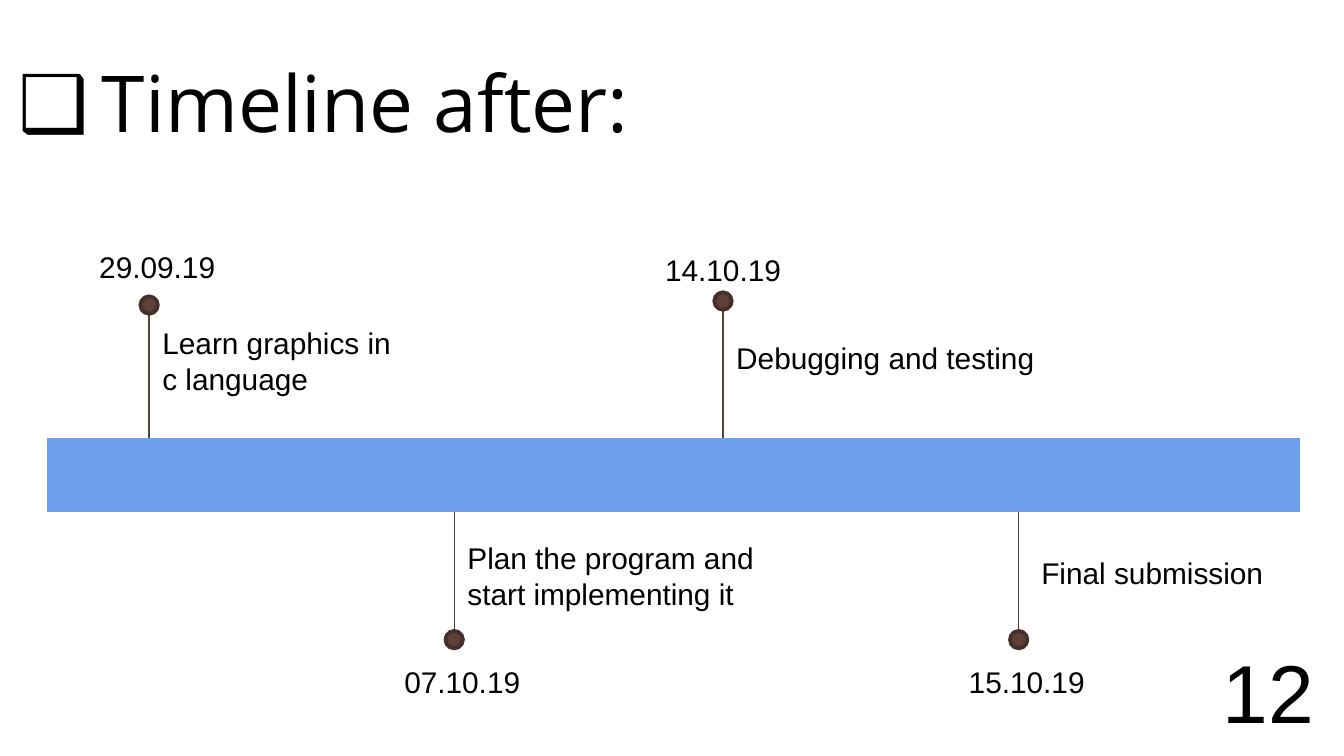
from lxml import etree
from pptx import Presentation
from pptx import util as u
from pptx.dml.color import RGBColor
from pptx.enum import shapes, text
from pptx.oxml.ns import qn


def color(value):
    return RGBColor.from_string(value)


def add_text(left, top, width, height, content, size, font="Arial", wrap=False):
    shape = slide.shapes.add_textbox(
        u.Inches(left), u.Inches(top), u.Inches(width), u.Inches(height)
    )
    shape.text_frame.word_wrap = wrap
    run = shape.text_frame.paragraphs[0].add_run()
    run.text = content
    run.font.size = u.Pt(size)
    run.font.name = font
    run.font.color.rgb = color("000000")
    return shape


presentation = Presentation()
presentation.slide_width = u.Inches(10)
presentation.slide_height = u.Inches(10 * 9 / 16)
slide = presentation.slides.add_slide(presentation.slide_layouts[6])

title = add_text(0.04, 0.33, 9.32, 1.15, "Timeline after:", 42, "Open Sans", True)
title.text_frame.vertical_anchor = text.MSO_ANCHOR.BOTTOM
title.text_frame.margin_bottom = u.Inches(0.38)
properties = title.text_frame.paragraphs[0]._p.get_or_add_pPr()
properties.set("marL", str(u.Inches(0.62)))
properties.set("indent", str(u.Inches(-0.62)))
bullet_color = etree.SubElement(properties, qn("a:buClr"))
etree.SubElement(bullet_color, qn("a:srgbClr"), val="000000")
etree.SubElement(properties, qn("a:buFont"), typeface="Open Sans")
etree.SubElement(properties, qn("a:buChar"), char="❑")

dot_size = 0.13
milestones = [
    (7.58, 3.41, 4.7, 4.76, "15.10.19", (7.11, 4.89), "Final submission", (7.65, 4.08, 1.87, 0.37), False),
    (5.38, 3.65, 2.31, 2.24, "14.10.19", (4.85, 1.82), "Debugging and testing", (5.38, 2.48, 2.44, 0.37), False),
    (3.38, 3.41, 4.7, 4.76, "07.10.19", (2.91, 4.89), "Plan the program and start implementing it", (3.38, 3.97, 2.63, 0.64), True),
    (1.11, 3.68, 2.33, 2.27, "29.09.19", (0.64, 1.8), "Learn graphics in c language", (1.11, 2.37, 1.94, 0.64), True),
]

for x, bar_y, stem_y, dot_y, *labels in milestones:
    stem = slide.shapes.add_connector(
        shapes.MSO_CONNECTOR.STRAIGHT,
        u.Inches(x), u.Inches(bar_y), u.Inches(x), u.Inches(stem_y),
    )
    stem.line.color.rgb = color("5C3E35")
    stem.line.width = u.Pt(0.75)
    etree.SubElement(stem._element.spPr, qn("a:effectLst"))
    dot = slide.shapes.add_shape(
        shapes.MSO_SHAPE.OVAL,
        u.Inches(x - dot_size / 2), u.Inches(dot_y - dot_size / 2),
        u.Inches(dot_size), u.Inches(dot_size),
    )
    dot.shadow.inherit = False
    dot.fill.solid()
    dot.fill.fore_color.rgb = color("5D4037")
    dot.line.color.rgb = color("452F29")
    dot.line.width = u.Pt(2)

column_widths = [1.26, 3.4, 2.33, 2.33]
bar = slide.shapes.add_table(
    1, len(column_widths), u.Inches(0.35), u.Inches(3.26), u.Inches(9.32), u.Inches(0.55)
).table
bar.first_row = False
bar.horz_banding = False
bar._tbl.tblPr.find(qn("a:tableStyleId")).text = "{2D5ABB26-0587-4C30-8999-92F81FD0307C}"
for index, width in enumerate(column_widths):
    bar.columns[index].width = u.Inches(width)
    cell = bar.cell(0, index)
    cell.fill.solid()
    cell.fill.fore_color.rgb = color("6D9EEB")

number = add_text(9, 4.68, 1.01, 0.78, "12", 44, wrap=True)
number.text_frame.margin_top = u.Inches(0.09)

for *geometry, date, date_position, task, task_box, wrap in milestones:
    add_text(*date_position, 1.07, 0.37, date, 16)
    add_text(*task_box, task, 16, wrap=wrap)

presentation.save("out.pptx")
